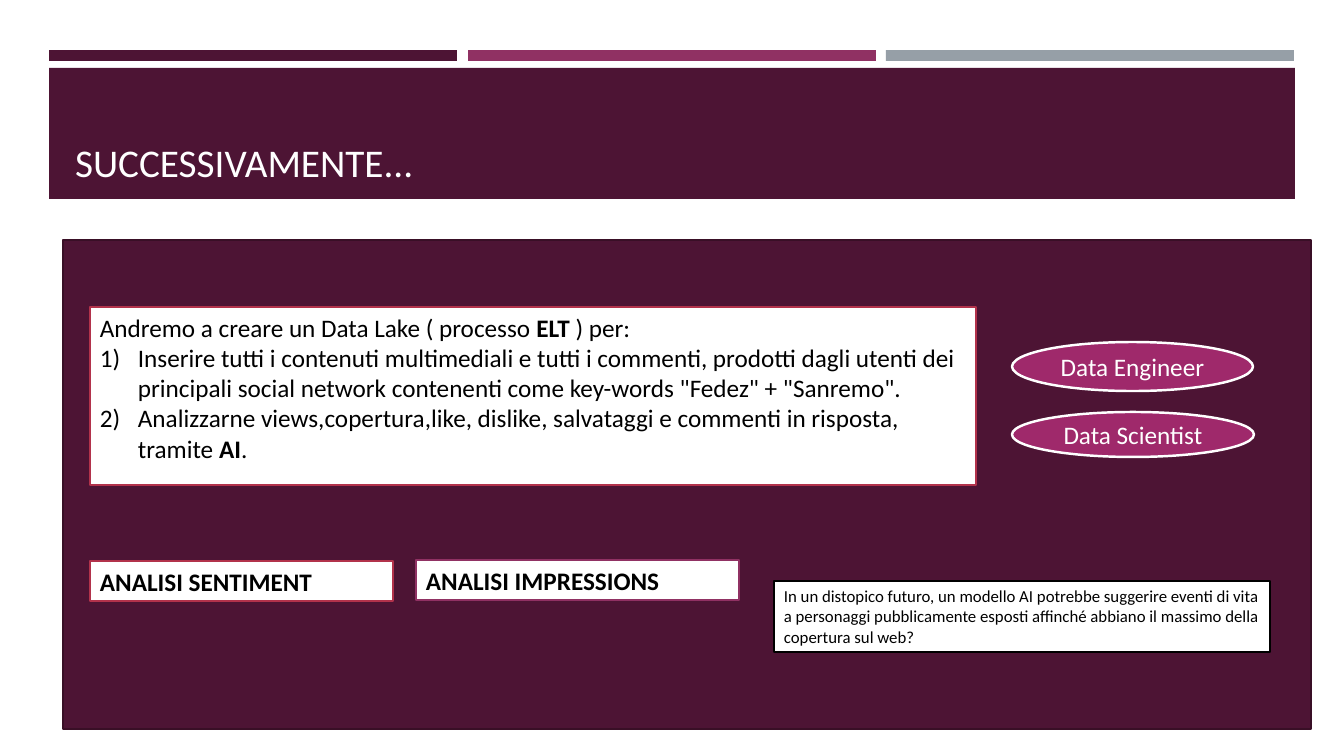
from lxml import etree
from pptx import Presentation
from pptx import util as u
from pptx.dml.color import RGBColor
from pptx.enum import shapes, text
from pptx.oxml import ns

PLUM = RGBColor(0x4D, 0x14, 0x34)
DARK_PLUM = RGBColor(0x39, 0x0F, 0x26)
BERRY = RGBColor(0x90, 0x31, 0x63)
MAGENTA = RGBColor(0x9F, 0x29, 0x6B)
RED = RGBColor(0xB2, 0x32, 0x4B)
GREY = RGBColor(0x96, 0x9F, 0xA7)
WHITE = RGBColor(0xFF, 0xFF, 0xFF)
BLACK = RGBColor(0, 0, 0)


class SlideBuilder:
    """Draws styled elements on one slide, with lengths in pixels."""

    FONT = "Calibri"
    SCALE = 914400 / 100.8
    LINE = u.Pt(1.75)
    INDENT = 38

    def __init__(self, deck):
        self.slide = deck.slides.add_slide(deck.slide_layouts[5])

    @classmethod
    def emu(cls, pixels):
        return u.Emu(round(pixels * cls.SCALE))

    def style(self, para, size, color, align):
        para.alignment = align
        for span in para.runs:
            span.font.name = self.FONT
            span.font.size = u.Pt(size)
            span.font.color.rgb = color

    def title(self, words, area):
        box = self.slide.shapes.title
        box.left, box.top, box.width, box.height = map(self.emu, area)
        frame = box.text_frame
        frame.text = words
        frame.vertical_anchor = text.MSO_ANCHOR.BOTTOM
        frame.auto_size = text.MSO_AUTO_SIZE.NONE
        self.style(frame.paragraphs[0], 28, WHITE, text.PP_ALIGN.LEFT)
        self.slide.shapes._spTree.append(box._element)

    def shape(self, area, fill, line=None, kind=shapes.MSO_SHAPE.RECTANGLE):
        box = self.slide.shapes.add_shape(kind, *map(self.emu, area))
        box.shadow.inherit = False
        box.fill.solid()
        box.fill.fore_color.rgb = fill
        if line is None:
            box.line.fill.background()
        else:
            box.line.color.rgb = line
            box.line.width = self.LINE
        return box

    def text_box(self, area, line, paragraphs, size=18):
        frame = self.shape(area, WHITE, line).text_frame
        frame.word_wrap = True
        frame.vertical_anchor = text.MSO_ANCHOR.TOP
        for index, spans in enumerate(paragraphs):
            para = frame.add_paragraph() if index else frame.paragraphs[0]
            for words, bold in spans:
                span = para.add_run()
                span.text = words
                span.font.bold = bold
            self.style(para, size, BLACK, text.PP_ALIGN.LEFT)
            if index:
                self.number(para)

    def number(self, para):
        props = para._p.get_or_add_pPr()
        indent = self.emu(self.INDENT)
        props.set("marL", str(indent))
        props.set("indent", str(-indent))
        etree.SubElement(props, ns.qn("a:buAutoNum"), type="arabicParenR")

    def role(self, words, area):
        frame = self.shape(area, MAGENTA, WHITE, shapes.MSO_SHAPE.OVAL).text_frame
        frame.text = words
        frame.word_wrap = True
        frame.vertical_anchor = text.MSO_ANCHOR.MIDDLE
        self.style(frame.paragraphs[0], 18, WHITE, text.PP_ALIGN.CENTER)


deck = Presentation()
deck.slide_width = SlideBuilder.emu(1344)
deck.slide_height = SlideBuilder.emu(756)
builder = SlideBuilder(deck)

for left, color in zip((49, 468, 886), (PLUM, BERRY, GREY)):
    builder.shape((left, 50, 408, 11), color)
builder.shape((49, 68, 1246, 131), PLUM)
builder.title("SUCCESSIVAMENTE...", (65, 78, 1216, 112))

builder.shape((63, 240, 1248, 489), PLUM, DARK_PLUM)
builder.text_box((90, 307, 886, 178), RED, [
    [("Andremo a creare un Data Lake ( processo ", False), ("ELT", True), (" ) per:", False)],
    [("Inserire tutti i contenuti multimediali e tutti i commenti, prodotti dagli utenti dei "
      'principali social network contenenti come key-words "Fedez" + "Sanremo".', False)],
    [("Analizzarne views,copertura,like, dislike, salvataggi e commenti in risposta, tramite ", False),
     ("AI", True), (".", False)],
])
builder.role("Data Engineer", (1012, 342, 241, 49))
builder.role("Data Scientist", (1012, 412, 242, 45))
builder.text_box((90, 561, 303, 40), RED, [[("ANALISI SENTIMENT", True)]])
builder.text_box((416, 560, 323, 40), BERRY, [[("ANALISI IMPRESSIONS", True)]])
builder.text_box((774, 581, 496, 71), BLACK, [
    [("In un distopico futuro, un modello AI potrebbe suggerire eventi di\u00a0vita a personaggi "
      "pubblicamente esposti affinché abbiano il massimo della copertura sul web?", False)],
], size=12)

deck.save("out.pptx")
